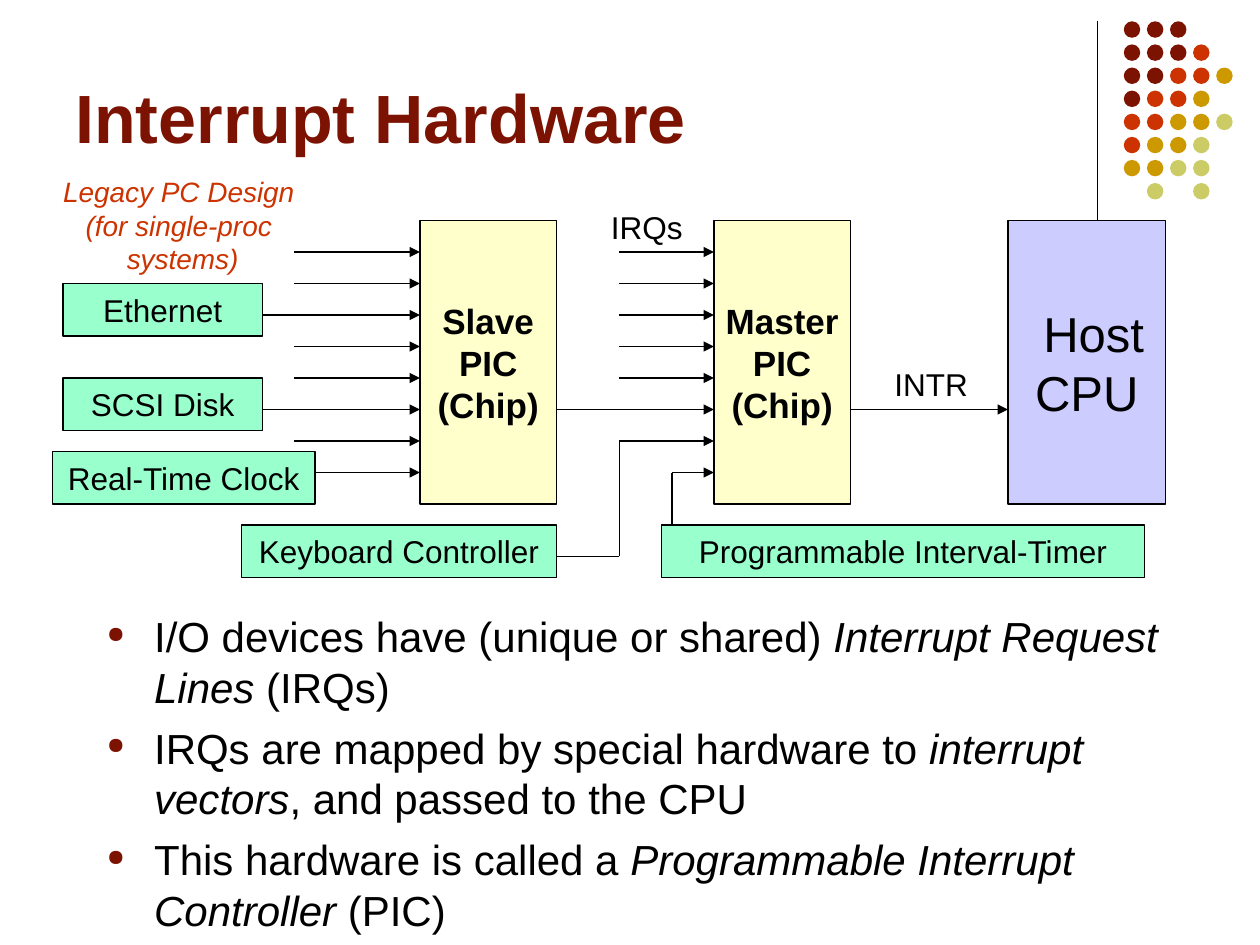
from dataclasses import dataclass

from lxml.etree import SubElement
from pptx import Presentation
from pptx.dml.color import RGBColor
from pptx.enum.shapes import MSO_CONNECTOR, MSO_SHAPE
from pptx.enum.text import MSO_ANCHOR, PP_ALIGN
from pptx.oxml.ns import qn
from pptx.util import Pt


@dataclass(frozen=True)
class Theme:
    font: str = "Arial"
    black: str = "000000"
    maroon: str = "7C1302"
    red: str = "CC3300"
    gold: str = "CC9900"
    olive: str = "CCCC66"
    device_fill: str = "99FFCC"
    pic_fill: str = "FFFFCC"
    cpu_fill: str = "CCCCFF"
    title_size: int = 39
    cpu_size: int = 28
    body_size: int = 24
    pic_size: int = 20
    label_size: int = 18
    note_size: int = 16
    line_width: float = 0.74


THEME = Theme()
IRQ_TOP, IRQ_STEP, IRQ_COUNT = 144, 18, 8
SLAVE_LEFT, MASTER_LEFT, CPU_LEFT = 240, 408, 576
PIC_TOP, PIC_WIDTH, PIC_HEIGHT = 126, 78, 162
DEVICE_HEIGHT = 30

DOT_ROWS = ("MMM", "MMMR", "MMRRG", "MRRG", "RRGGO", "RGGO", "GGOO", " O O")
DOT_COLORS = {"M": THEME.maroon, "R": THEME.red, "G": THEME.gold, "O": THEME.olive}

DEVICES = (
    ("Programmable Interval-Timer", 378, 300, 276),
    ("Keyboard Controller", 138, 300, 180),
    ("Real-Time Clock", 30, 258, 150),
    ("SCSI Disk", 36, 216, 114),
    ("Ethernet", 36, 162, 114),
)

# Each bullet is plain text, italic text, plain text
BULLETS = (
    ("I/O devices have (unique or shared) ", "Interrupt Request Lines ", "(IRQs)"),
    ("IRQs are mapped by special hardware to ", "interrupt vectors",
     ", and passed to the CPU"),
    ("This hardware is called a ", "Programmable Interrupt Controller", " (PIC)"),
)


def rgb(color):
    return RGBColor.from_string(color)


def irq_y(number):
    return IRQ_TOP + number * IRQ_STEP


def style_font(paragraph, size, color, bold=False, italic=None):
    font = paragraph.font
    font.name, font.size, font.bold, font.italic = THEME.font, Pt(size), bold, italic
    font.color.rgb = rgb(color)


def write_lines(shape, lines, size, color=THEME.black, align=PP_ALIGN.LEFT,
                anchor=MSO_ANCHOR.TOP, **style):
    frame = shape.text_frame
    frame.word_wrap = False
    frame.vertical_anchor = anchor
    for index, line in enumerate(lines):
        paragraph = frame.paragraphs[0] if index == 0 else frame.add_paragraph()
        paragraph.text = line
        paragraph.alignment = align
        style_font(paragraph, size, color, **style)


def add_label(slide, bounds, lines, size, **style):
    box = slide.shapes.add_textbox(*map(Pt, bounds))
    write_lines(box, lines, size, **style)


def add_box(slide, bounds, lines, size, fill, bold=False):
    shape = slide.shapes.add_shape(MSO_SHAPE.RECTANGLE, *map(Pt, bounds))
    shape.shadow.inherit = False
    shape.fill.solid()
    shape.fill.fore_color.rgb = rgb(fill)
    shape.line.color.rgb = rgb(THEME.black)
    shape.line.width = Pt(THEME.line_width)
    write_lines(shape, lines, size, align=PP_ALIGN.CENTER,
                anchor=MSO_ANCHOR.MIDDLE, bold=bold)


def add_line(slide, start, end, arrow=False):
    line = slide.shapes.add_connector(
        MSO_CONNECTOR.STRAIGHT, *map(Pt, (*start, *end)))
    line.line.color.rgb = rgb(THEME.black)
    line.line.width = Pt(THEME.line_width)
    properties = line.element.spPr
    if arrow:
        SubElement(properties.find(qn("a:ln")), qn("a:tailEnd"), type="triangle")
    SubElement(properties, qn("a:effectLst"))


def add_dots(slide):
    left, top, pitch, diameter = 642.2, 12.2, 13.2, 9.4
    for row, keys in enumerate(DOT_ROWS):
        for column, key in enumerate(keys):
            if key == " ":
                continue
            bounds = (left + column * pitch, top + row * pitch, diameter, diameter)
            dot = slide.shapes.add_shape(MSO_SHAPE.OVAL, *map(Pt, bounds))
            dot.shadow.inherit = False
            dot.fill.solid()
            dot.fill.fore_color.rgb = rgb(DOT_COLORS[key])
            dot.line.fill.background()


def add_irq_arrows(slide, default_start, special_starts, end):
    for number in range(IRQ_COUNT):
        y = irq_y(number)
        add_line(slide, (special_starts.get(number, default_start), y), (end, y), True)


def add_bullet_mark(paragraph):
    properties = paragraph._p.get_or_add_pPr()
    properties.set("marL", str(Pt(27)))
    properties.set("indent", str(Pt(-27)))
    color = SubElement(properties, qn("a:buClr"))
    SubElement(color, qn("a:srgbClr"), val=THEME.maroon)
    SubElement(properties, qn("a:buSzPct"), val="54000")
    SubElement(properties, qn("a:buChar"), char="●")


def add_bullets(slide):
    frame = slide.shapes.add_textbox(*map(Pt, (54, 345.6, 618, 194.4))).text_frame
    frame.word_wrap = True
    for index, parts in enumerate(BULLETS):
        paragraph = frame.paragraphs[0] if index == 0 else frame.add_paragraph()
        paragraph.space_before = Pt(6)
        add_bullet_mark(paragraph)
        style_font(paragraph, THEME.body_size, THEME.black)
        for position, text in enumerate(parts):
            run = paragraph.add_run()
            run.text = text
            if position == 1:
                run.font.italic = True


def main():
    presentation = Presentation()
    presentation.slide_width, presentation.slide_height = Pt(720), Pt(540)
    slide = presentation.slides.add_slide(presentation.slide_layouts[6])

    # Corner decoration and title
    add_line(slide, (627, 12), (627, 132))
    add_dots(slide)
    add_label(slide, (36, 21.6, 648, 90), ["Interrupt Hardware"], THEME.title_size,
              color=THEME.maroon, bold=True, anchor=MSO_ANCHOR.MIDDLE)

    # Processor and interrupt controllers
    add_box(slide, (CPU_LEFT, PIC_TOP, 90, PIC_HEIGHT), [" Host", "CPU"],
            THEME.cpu_size, THEME.cpu_fill)
    for name, left in (("Master", MASTER_LEFT), ("Slave", SLAVE_LEFT)):
        add_box(slide, (left, PIC_TOP, PIC_WIDTH, PIC_HEIGHT), [name, "PIC", "(Chip)"],
                THEME.pic_size, THEME.pic_fill, bold=True)

    # Interrupt lines
    slave_right, master_right = SLAVE_LEFT + PIC_WIDTH, MASTER_LEFT + PIC_WIDTH
    add_irq_arrows(slide, 168, {2: 150, 5: 150, 7: 150}, SLAVE_LEFT)
    add_irq_arrows(slide, 354, {5: slave_right, 7: 384}, MASTER_LEFT)
    add_line(slide, (master_right, irq_y(5)), (CPU_LEFT, irq_y(5)), True)
    add_line(slide, (384, irq_y(7)), (384, 300))
    add_line(slide, (354, irq_y(6)), (354, 318))
    add_line(slide, (354, 318), (slave_right, 318))

    # Devices
    for name, left, top, width in DEVICES:
        add_box(slide, (left, top, width, DEVICE_HEIGHT), [name],
                THEME.label_size, THEME.device_fill)

    # Labels and explanation
    add_label(slide, (504, 205.2, 58, 28.8), ["INTR"], THEME.label_size)
    add_label(slide, (342, 115.2, 56, 28.8), ["IRQs"], THEME.label_size)
    add_label(slide, (28.8, 96.2, 151.2, 64.8),
              ["Legacy PC Design ", "(for single-proc ", "systems)"], THEME.note_size,
              color=THEME.red, italic=True, align=PP_ALIGN.CENTER)
    add_bullets(slide)

    presentation.save("out.pptx")


if __name__ == "__main__":
    main()
